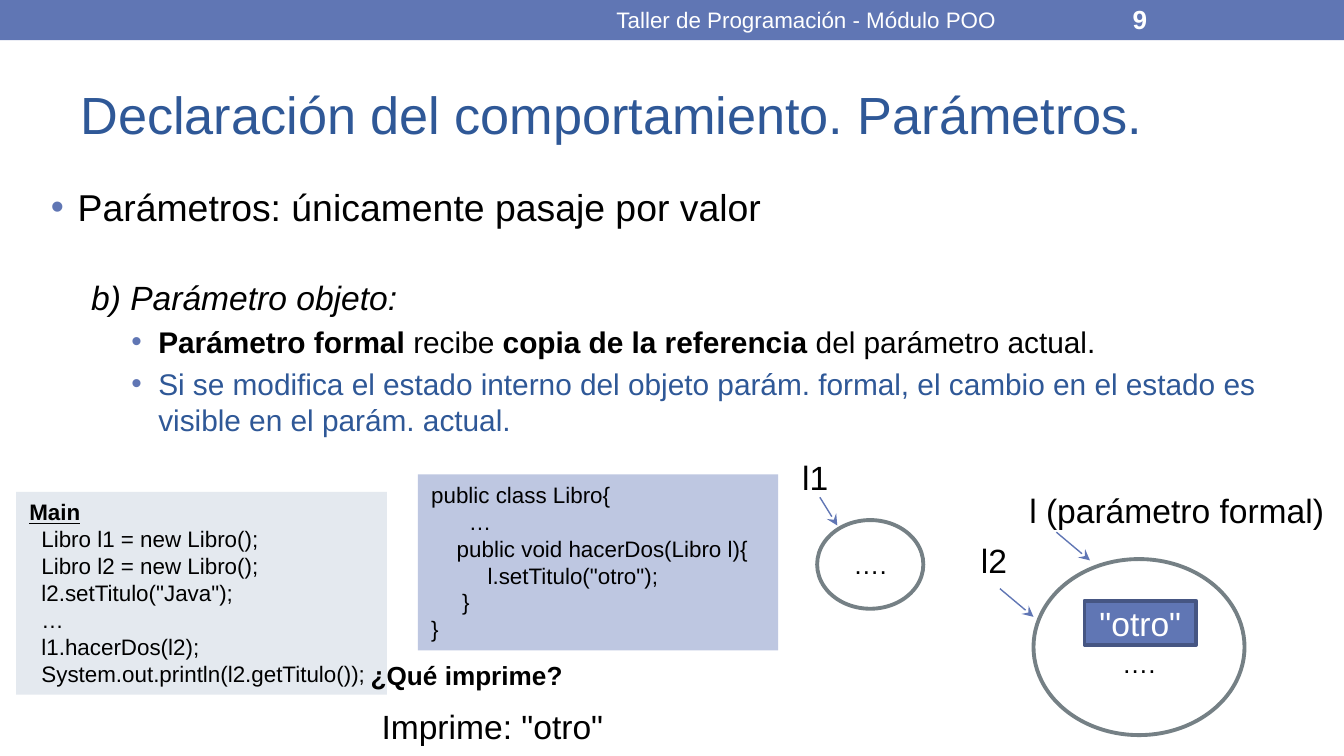
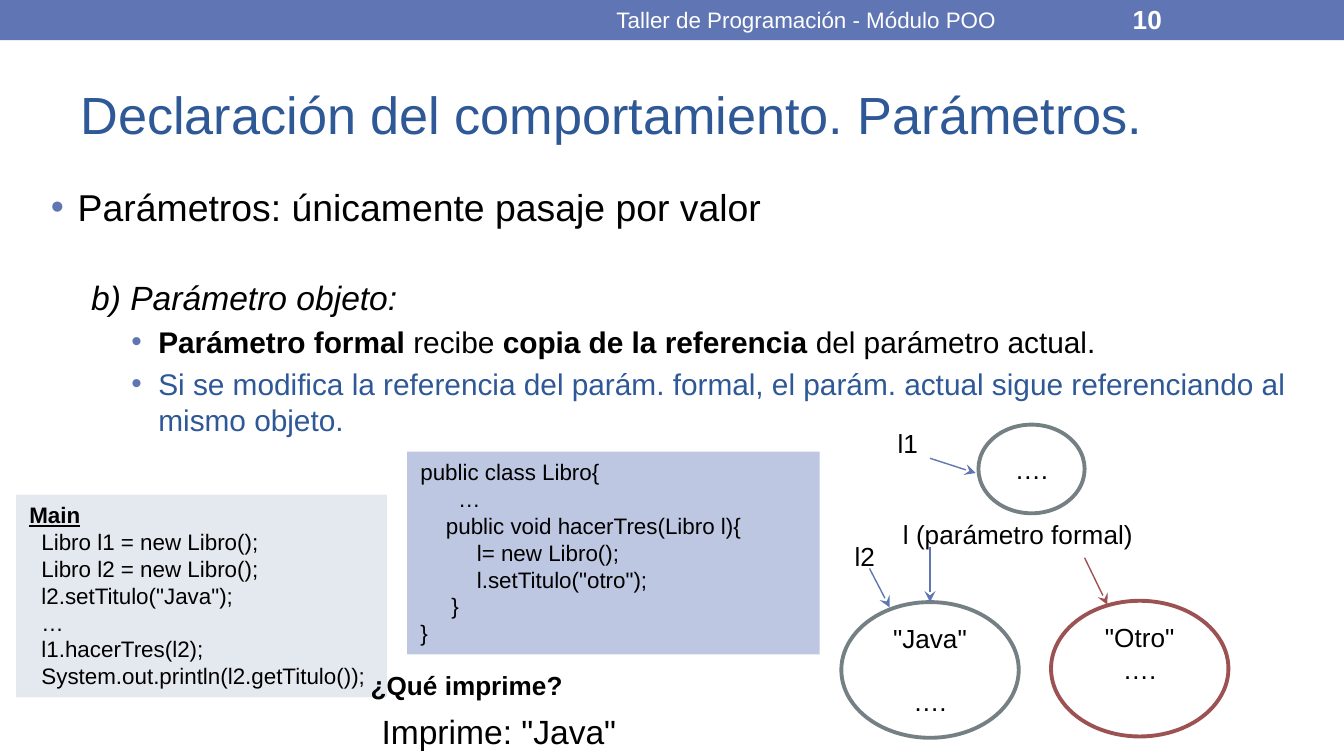
"""Build two slides on object parameters passed by value."""
from dataclasses import dataclass
from typing import Optional

from lxml import etree
from pptx import Presentation
from pptx.dml.color import RGBColor
from pptx.enum.shapes import MSO_CONNECTOR, MSO_SHAPE
from pptx.enum.text import MSO_ANCHOR, PP_ALIGN
from pptx.oxml.ns import qn
from pptx.util import Emu, Pt

PX = 9144
SLIDE_W = 1000 * PX
SLIDE_H = SLIDE_W * 9 // 16
FONT = "Arial"
RECT, OVAL, STRAIGHT = MSO_SHAPE.RECTANGLE, MSO_SHAPE.OVAL, MSO_CONNECTOR.STRAIGHT
LEFT, CENTER = PP_ALIGN.LEFT, PP_ALIGN.CENTER
TOP, MIDDLE = MSO_ANCHOR.TOP, MSO_ANCHOR.MIDDLE
BLUE = RGBColor(0x60, 0x76, 0xB4)
DARK_BLUE = RGBColor(0x46, 0x56, 0x83)
TITLE_BLUE = RGBColor(0x2F, 0x58, 0x97)
PALE_GRAY = RGBColor(0xE4, 0xE9, 0xEF)
PALE_BLUE = RGBColor(0xBE, 0xC7, 0xE1)
GRAY = RGBColor(0x75, 0x80, 0x85)
RED = RGBColor(0x9C, 0x52, 0x52)
BLACK = RGBColor(0, 0, 0)
WHITE = RGBColor(0xFF, 0xFF, 0xFF)
OUTLINE, ARROW = 2.08, 0.75
CODE_INDENTS = (0, 9, 19, 23, 28, 42)
FLUSH, MAIN_STEP, METHOD, METHOD_END, ELLIPSIS, STATEMENT = CODE_INDENTS
BLANK_LINE = 23

Rect = tuple[int, int, int, int]


@dataclass(frozen=True)
class Run:
    """A piece of text with one style."""
    text: str
    bold: bool = False
    italic: bool = False
    underline: bool = False
    color: RGBColor = BLACK


@dataclass(frozen=True)
class Para:
    """A paragraph of runs of one size."""
    runs: tuple[Run, ...]
    size: int
    align: PP_ALIGN = LEFT
    indent: int = 0
    hang: int = 0
    before: float = 0


@dataclass(frozen=True)
class Box:
    """A text box, or a preset shape when one is given."""
    at: Rect
    paras: tuple[Para, ...] = ()
    shape: Optional[MSO_SHAPE] = None
    fill: RGBColor = WHITE
    line: Optional[RGBColor] = None
    anchor: MSO_ANCHOR = TOP
    top: int = 5
    bottom: int = 5


@dataclass(frozen=True)
class Arrow:
    """A straight arrow between two points."""
    start: tuple[int, int]
    end: tuple[int, int]
    color: RGBColor = BLUE


@dataclass(frozen=True)
class Lesson:
    """What differs between the slides."""
    number: int
    body_width: int
    rule: str
    method: str
    main_top: int
    class_at: Rect
    statements: tuple[str, ...]
    question_top: int
    answer_top: int
    answer: str
    diagram: tuple[Box | Arrow, ...]


def px(n: int) -> Emu:
    """Turn px into EMU."""
    return Emu(n * PX)


def line_of(text: str, size: int, align: PP_ALIGN = LEFT, indent: int = 0,
            before: float = 0, **style) -> Para:
    """Make a paragraph of a single run."""
    return Para((Run(text, **style),), size, align, indent, 0, before)


def label(x: int, y: int, w: int, text: str, size: int, bold: bool = False) -> Box:
    """Make a free label."""
    return Box((x, y, w, 40 if size == 18 else 34), (line_of(text, size, bold=bold),))


def instance(at: Rect, *texts: str, gap: float = 0, line: RGBColor = GRAY,
             **insets: int) -> Box:
    """Make the ellipse that stands for an object in memory."""
    paras = tuple(line_of(t, 14, CENTER, before=gap if i else 0)
                  for i, t in enumerate(texts))
    return Box(at, paras, OVAL, WHITE, line, MIDDLE, **insets)


def code(at: Rect, fill: RGBColor, *lines: Para) -> Box:
    """Make a filled code panel."""
    return Box(at, lines, RECT, fill)


def add_para(p, para: Para) -> None:
    """Write one paragraph."""
    p.alignment = para.align
    p.space_before = Pt(para.before)
    pPr = p._p.get_or_add_pPr()
    pPr.set("marL", str(px(para.indent)))
    pPr.set("indent", str(px(-para.hang)))
    if para.hang:
        clr = etree.SubElement(pPr, qn("a:buClr"))
        etree.SubElement(clr, qn("a:srgbClr"), val=str(BLUE))
        etree.SubElement(pPr, qn("a:buFont"), typeface=FONT)
        etree.SubElement(pPr, qn("a:buChar"), char="•")
    for run in para.runs:
        r = p.add_run()
        r.text = run.text
        style = {"name": FONT, "size": Pt(para.size), "bold": run.bold,
                 "italic": run.italic, "underline": run.underline}
        for key, value in style.items():
            setattr(r.font, key, value)
        r.font.color.rgb = run.color


def add_box(s, box: Box) -> None:
    """Draw a box with its text."""
    at = [px(n) for n in box.at]
    if box.shape is None:
        sp = s.shapes.add_textbox(*at)
    else:
        sp = s.shapes.add_shape(box.shape, *at)
        sp.shadow.inherit = False
        sp.fill.solid()
        sp.fill.fore_color.rgb = box.fill
        if box.line is None:
            sp.line.fill.background()
        else:
            sp.line.color.rgb = box.line
            sp.line.width = Pt(OUTLINE)
    tf = sp.text_frame
    frame = {"word_wrap": True, "vertical_anchor": box.anchor,
             "margin_left": px(10), "margin_right": px(10),
             "margin_top": px(box.top), "margin_bottom": px(box.bottom)}
    for key, value in frame.items():
        setattr(tf, key, value)
    for i, para in enumerate(box.paras):
        add_para(tf.add_paragraph() if i else tf.paragraphs[0], para)


def add_arrow(s, arrow: Arrow) -> None:
    """Draw an arrow with a stealth head."""
    ends = [px(n) for n in arrow.start + arrow.end]
    cx = s.shapes.add_connector(STRAIGHT, *ends)
    cx.line.color.rgb = arrow.color
    cx.line.width = Pt(ARROW)
    etree.SubElement(cx.line._get_or_add_ln(), qn("a:tailEnd"), type="stealth")
    etree.SubElement(cx._element.spPr, qn("a:effectLst"))


def body(lesson: Lesson) -> Box:
    """Make the bulleted explanation."""
    formal = (Run("Parámetro formal ", bold=True), Run("recibe "),
              Run("copia de la referencia ", bold=True), Run("del parámetro actual."))
    return Box((28, 132, lesson.body_width, 400), (
        Para((Run("Parámetros: únicamente pasaje por valor"),), 20, LEFT, 20, 20),
        line_of("b) Parámetro objeto:", 18, indent=30, before=26, italic=True),
        Para(formal, 16, LEFT, 80, 20, 3.2),
        Para((Run(lesson.rule, color=TITLE_BLUE),), 16, LEFT, 80, 20, 3.2)))


def main_code(lesson: Lesson) -> Box:
    """Make the panel with the main program."""
    steps = ("Libro l1 = new Libro();", "Libro l2 = new Libro();",
             'l2.setTitulo("Java");', "…", f"l1.{lesson.method}(l2);",
             "System.out.println(l2.getTitulo());")
    return code((12, lesson.main_top, 276, 151), PALE_GRAY,
                line_of("Main", 12, bold=True, underline=True),
                *(line_of(t, 12, indent=MAIN_STEP) for t in steps))


def class_code(lesson: Lesson) -> Box:
    """Make the panel with the class."""
    rows = [("public class Libro{", FLUSH), ("…", ELLIPSIS),
            (f"public void {lesson.method}(Libro l){{", METHOD),
            *((t, STATEMENT) for t in lesson.statements),
            ("}", METHOD_END), ("}", FLUSH)]
    return code(lesson.class_at, PALE_BLUE,
                *(line_of(t, 12, indent=n) for t, n in rows))


def add_lesson(prs, lesson: Lesson) -> None:
    """Add one slide."""
    s = prs.slides.add_slide(prs.slide_layouts[6])
    items = (
        Box((0, 0, 1000, 30), shape=RECT, fill=BLUE),
        Box((50, 44, 900, 81), (line_of("Declaración del comportamiento. Parámetros.",
                                        28, color=TITLE_BLUE),), anchor=MIDDLE),
        body(lesson),
        Box((375, 1, 450, 27), (line_of("Taller de Programación - Módulo POO", 12,
                                        CENTER, color=WHITE),), anchor=MIDDLE),
        Box((833, 1, 117, 27), (line_of(str(lesson.number), 14, bold=True,
                                        color=WHITE),), anchor=MIDDLE),
        main_code(lesson),
        class_code(lesson),
        *lesson.diagram,
        label(266, lesson.question_top, 173, "¿Qué imprime?", 14, bold=True),
        label(274, lesson.answer_top, 195, f'Imprime: "{lesson.answer}"', 18),
    )
    for item in items:
        if isinstance(item, Arrow):
            add_arrow(s, item)
        else:
            add_box(s, item)


LESSONS = (
    Lesson(
        9, 984,
        "Si se modifica el estado interno del objeto parám. formal, "
        "el cambio en el estado es visible en el parám. actual.",
        "hacerDos", 366, (311, 353, 268, 131), ('l.setTitulo("otro");',),
        486, 520, "otro",
        (instance((769, 416, 157, 131), "….", top=5 + BLANK_LINE),
         label(720, 397, 47, "l2", 18),
         label(756, 360, 249, "l (parámetro formal)", 18),
         Arrow((744, 438), (769, 459)),
         Arrow((786, 396), (811, 417)),
         Box((807, 447, 83, 33), (line_of('"otro"', 18, CENTER, color=WHITE),),
             RECT, BLUE, DARK_BLUE, MIDDLE),
         label(587, 335, 47, "l1", 18),
         Arrow((610, 370), (623, 391)),
         instance((608, 387, 79, 66), "…."))),
    Lesson(
        10, 972,
        "Si se modifica la referencia del parám. formal, "
        "el parám. actual sigue referenciando al mismo objeto.",
        "hacerTres", 368, (303, 336, 307, 151),
        ("l= new Libro();", 'l.setTitulo("otro");'),
        493, 524, "Java",
        (instance((626, 448, 132, 101), '"Java"', "….", gap=17),
         label(626, 397, 41, "l2", 14),
         label(662, 381, 232, "l (parámetro formal)", 14),
         Arrow((647, 423), (662, 452)),
         Arrow((692, 407), (692, 448)),
         instance((782, 447, 132, 101), '"Otro"', "….", line=RED,
                  bottom=5 + BLANK_LINE),
         Arrow((807, 415), (824, 450), RED),
         label(658, 313, 41, "l1", 14),
         Arrow((692, 341), (726, 352)),
         instance((728, 316, 79, 66), "…."))),
)


def main() -> None:
    """Build and save the deck."""
    prs = Presentation()
    prs.slide_width, prs.slide_height = Emu(SLIDE_W), Emu(SLIDE_H)
    for lesson in LESSONS:
        add_lesson(prs, lesson)
    prs.save("out.pptx")


if __name__ == "__main__":
    main()
